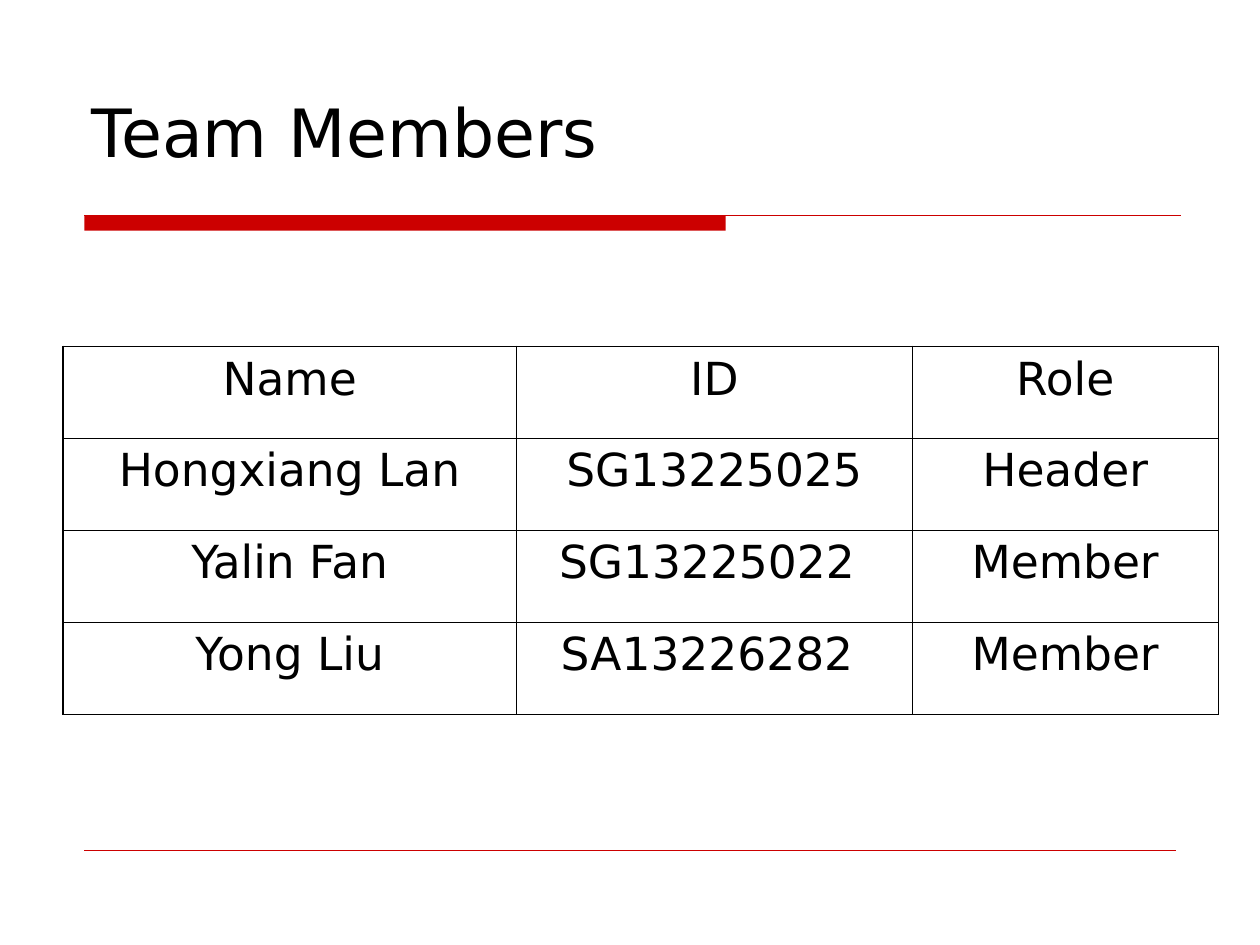
from typing import NamedTuple

from lxml.etree import SubElement
from pptx import Presentation
from pptx.dml.color import RGBColor
from pptx.enum.shapes import MSO_CONNECTOR, MSO_SHAPE
from pptx.enum.text import MSO_ANCHOR, PP_ALIGN
from pptx.oxml import parse_xml
from pptx.oxml.ns import nsdecls, qn
from pptx.util import Inches, Pt

BLACK = RGBColor(0x00, 0x00, 0x00)
WHITE = RGBColor(0xFF, 0xFF, 0xFF)
RED = RGBColor(0xCC, 0x00, 0x00)
FONT = "DejaVu Sans"
THIN, THICK = 0.45, 1.08


class Member(NamedTuple):
    name: str
    id: str
    role: str


class Rule(NamedTuple):
    right: float
    top: float
    weight: float


HEADINGS = Member("Name", "ID", "Role")
MEMBERS = [
    Member("Hongxiang Lan", "SG13225025", "Header"),
    Member("Yalin Fan", "SG13225022 ", "Member"),
    Member("Yong Liu", "SA13226282 ", "Member"),
]
RULES = [Rule(9.37, 1.71, 0.75), Rule(9.33, 6.75, 0.25)]
RULE_LEFT = 0.67
COLUMN_WIDTHS = [3.6, 3.14, 2.43]
ROW_HEIGHT = 0.73


def style_text(para, size: float, align: PP_ALIGN) -> None:
    para.alignment = align
    for span in para.runs:
        span.font.size = Pt(size)
        span.font.name = FONT
        span.font.color.rgb = BLACK


def add_title(page, text: str) -> None:
    title = page.shapes.title
    title.left, title.top = Inches(0.63), Inches(0.33)
    title.width, title.height = Inches(8.75), Inches(1.08)
    frame = title.text_frame
    frame.text = text
    frame.vertical_anchor = MSO_ANCHOR.BOTTOM
    style_text(frame.paragraphs[0], 38, PP_ALIGN.LEFT)


def add_bar(page) -> None:
    bar = page.shapes.add_shape(
        MSO_SHAPE.RECTANGLE, Inches(RULE_LEFT), Inches(1.71), Inches(5.09), Inches(0.12)
    )
    bar.shadow.inherit = False
    bar.fill.solid()
    bar.fill.fore_color.rgb = RED
    bar.line.fill.background()


def add_rule(page, rule: Rule) -> None:
    line = page.shapes.add_connector(
        MSO_CONNECTOR.STRAIGHT,
        Inches(RULE_LEFT), Inches(rule.top), Inches(rule.right), Inches(rule.top),
    )
    line.line.color.rgb = RED
    line.line.width = Pt(rule.weight)
    SubElement(line._element.spPr, qn("a:effectLst"))


def set_borders(cell, weights: dict[str, float]) -> None:
    properties = cell._tc.get_or_add_tcPr()
    for position, (side, weight) in enumerate(weights.items()):
        border = parse_xml(
            f'<a:ln{side} {nsdecls("a")} w="{Pt(weight)}"><a:solidFill>'
            f'<a:srgbClr val="{BLACK}"/></a:solidFill></a:ln{side}>'
        )
        properties.insert(position, border)


def add_members_table(page, rows: list[Member]) -> None:
    table = page.shapes.add_table(
        len(rows), len(COLUMN_WIDTHS), Inches(0.5), Inches(2.75),
        Inches(sum(COLUMN_WIDTHS)), Inches(ROW_HEIGHT * len(rows)),
    ).table
    table.first_row = table.horz_banding = False
    for column, width in zip(table.columns, COLUMN_WIDTHS):
        column.width = Inches(width)
    last_column = len(COLUMN_WIDTHS) - 1
    for row_index, member in enumerate(rows):
        table.rows[row_index].height = Inches(ROW_HEIGHT)
        for column_index, text in enumerate(member):
            cell = table.cell(row_index, column_index)
            cell.text = text
            cell.fill.solid()
            cell.fill.fore_color.rgb = WHITE
            style_text(cell.text_frame.paragraphs[0], 26, PP_ALIGN.CENTER)
            set_borders(cell, {
                "L": THICK if column_index == 0 else THIN,
                "R": THICK if column_index == last_column else THIN,
                "T": THICK if row_index == 0 else THIN,
                "B": THIN,
            })


def main() -> None:
    deck = Presentation()
    deck.slide_width, deck.slide_height = Inches(10), Inches(7.5)
    page = deck.slides.add_slide(deck.slide_layouts[5])
    add_bar(page)
    for rule in RULES:
        add_rule(page, rule)
    add_title(page, "Team Members")
    add_members_table(page, [HEADINGS, *MEMBERS])
    deck.save("out.pptx")


if __name__ == "__main__":
    main()
